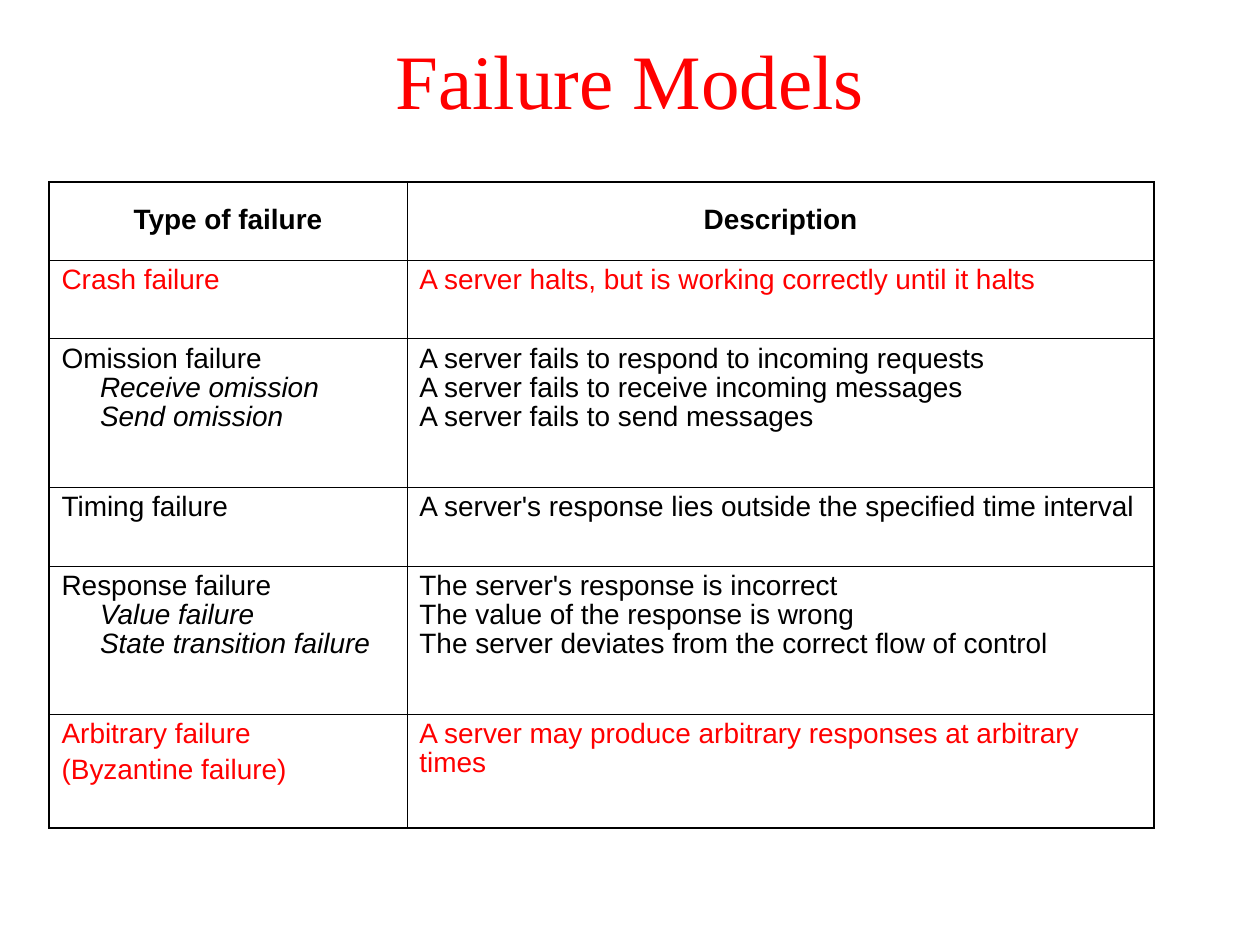
"""Build the Failure Models slide with its table of failure types."""
from lxml import etree
from pptx import Presentation
from pptx.dml.color import RGBColor
from pptx.enum import text
from pptx.oxml import ns
from pptx.util import Pt

RED = RGBColor(0xFF, 0x00, 0x00)
BLACK = RGBColor(0x00, 0x00, 0x00)
OUTER, INNER = 1.08, 0.45
COLUMN_WIDTHS = [204.5, 427]
FAILURES = [
    (44.8, BLACK, 0, 0, ["Type of failure"], ["Description"]),
    (44.8, RED, 0, 0, ["Crash failure"],
     ["A server halts, but is working correctly until it halts"]),
    (85, BLACK, 22, 0, ["Omission failure", "Receive omission", "Send omission"],
     ["A server fails to respond to incoming requests",
      "A server fails to receive incoming messages",
      "A server fails to send messages"]),
    (44.8, BLACK, 0, 0, ["Timing failure"],
     ["A server's response lies outside the specified time interval"]),
    (85, BLACK, 22, 0, ["Response failure", "Value failure", "State transition failure"],
     ["The server's response is incorrect",
      "The value of the response is wrong",
      "The server deviates from the correct flow of control"]),
    (65, RED, 0, 4, ["Arbitrary failure", "(Byzantine failure)"],
     ["A server may produce arbitrary responses at arbitrary times"]),
]


def set_borders(cell, widths):
    properties = cell._tc.get_or_add_tcPr()
    for position, (side, width) in enumerate(widths.items()):
        line = etree.Element(ns.qn(f"a:ln{side}"), w=str(Pt(width)))
        fill = etree.SubElement(line, ns.qn("a:solidFill"))
        etree.SubElement(fill, ns.qn("a:srgbClr"), val=str(BLACK))
        properties.insert(position, line)


def format_paragraph(paragraph, name, size, color):
    for run in paragraph.runs:
        run.font.name = name
        run.font.size = Pt(size)
        run.font.color.rgb = color


presentation = Presentation()
presentation.slide_width, presentation.slide_height = Pt(720), Pt(540)
slide = presentation.slides.add_slide(presentation.slide_layouts[5])

title = slide.shapes.title
title.left, title.top, title.width, title.height = Pt(0), Pt(0), Pt(720), Pt(90)
title.text_frame.text = "Failure Models"
title.text_frame.vertical_anchor = text.MSO_ANCHOR.MIDDLE
title.text_frame.paragraphs[0].alignment = text.PP_ALIGN.CENTER
format_paragraph(title.text_frame.paragraphs[0], "Times New Roman", 44, RED)

table = slide.shapes.add_table(
    len(FAILURES), len(COLUMN_WIDTHS), Pt(28), Pt(104),
    Pt(sum(COLUMN_WIDTHS)), Pt(sum(failure[0] for failure in FAILURES))).table
table.first_row = table.horz_banding = False
for column, width in zip(table.columns, COLUMN_WIDTHS):
    column.width = Pt(width)

last_row, last_column = len(FAILURES) - 1, len(COLUMN_WIDTHS) - 1
for row, (height, color, indent, gap, *columns) in enumerate(FAILURES):
    table.rows[row].height = Pt(height)
    for column, lines in enumerate(columns):
        cell = table.cell(row, column)
        cell.fill.background()
        cell.margin_left = cell.margin_right = Pt(7.2)
        cell.margin_top = cell.margin_bottom = Pt(3.6)
        cell.vertical_anchor = text.MSO_ANCHOR.TOP if row else text.MSO_ANCHOR.MIDDLE
        set_borders(cell, {
            "L": INNER if column else OUTER,
            "R": OUTER if column == last_column else INNER,
            "T": INNER if row else OUTER,
            "B": OUTER if row == last_row else INNER})
        cell.text_frame.text = "\n".join(lines)
        for number, paragraph in enumerate(cell.text_frame.paragraphs):
            subtype = number > 0 and column == 0 and indent > 0
            paragraph.alignment = text.PP_ALIGN.LEFT if row else text.PP_ALIGN.CENTER
            paragraph.line_spacing = 0.93
            paragraph.space_before = Pt(gap if number else 0)
            if subtype:
                paragraph._p.get_or_add_pPr().set("marL", str(Pt(indent)))
            format_paragraph(paragraph, "Arial", 16, color)
            paragraph.runs[0].font.bold = row == 0
            paragraph.runs[0].font.italic = subtype

presentation.save("out.pptx")
